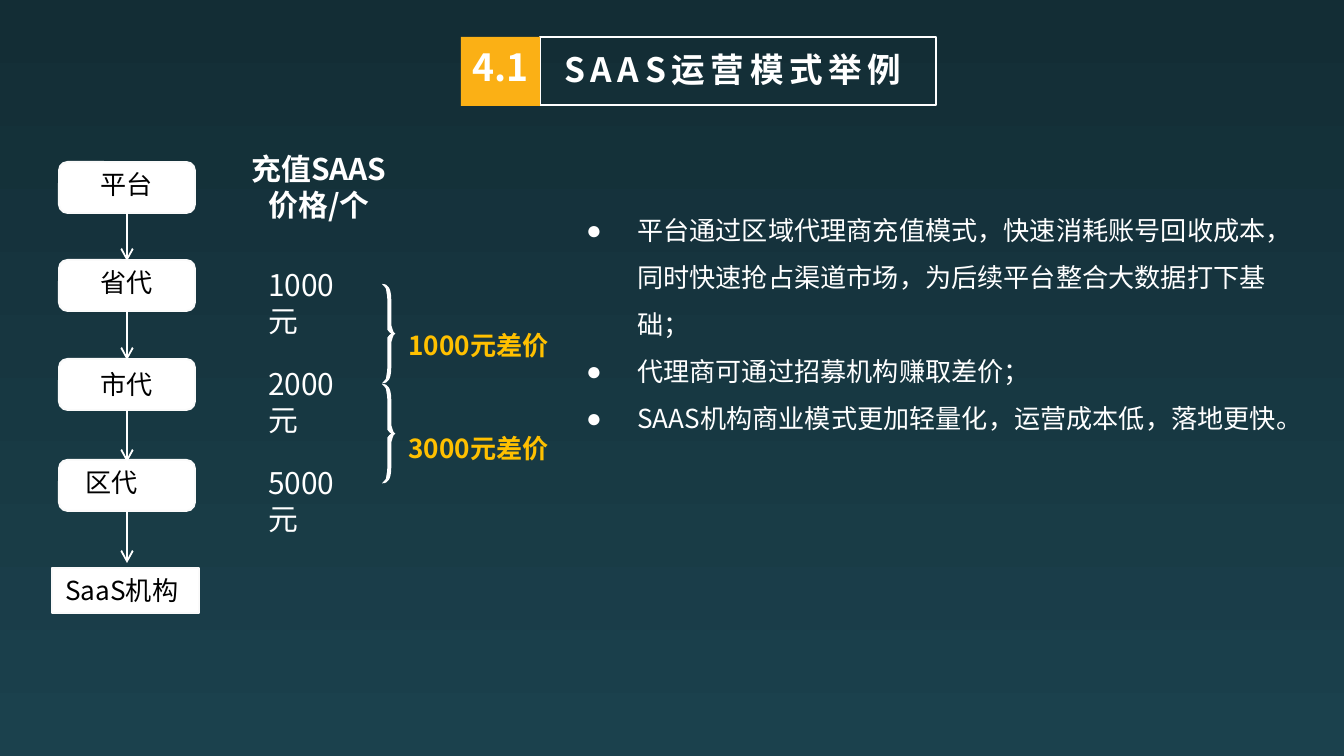
from lxml import etree
from pptx import Presentation
from pptx.dml.color import RGBColor
from pptx.enum.shapes import MSO_CONNECTOR, MSO_SHAPE
from pptx.enum.text import MSO_ANCHOR, PP_ALIGN
from pptx.oxml.ns import qn
from pptx.util import Pt

PX = 914400 / 134.4
FONT = "Noto Sans CJK SC"
WHITE, BLACK, GOLD, ORANGE, EDGE = "FFFFFF", "000000", "FFC000", "FBB015", "FAFAFA"
LEFT, CENTER = PP_ALIGN.LEFT, PP_ALIGN.CENTER
RECTANGLE, ROUNDED = MSO_SHAPE.RECTANGLE, MSO_SHAPE.ROUNDED_RECTANGLE
TOP = MSO_ANCHOR.TOP
STRAIGHT = MSO_CONNECTOR.STRAIGHT


def write(shape, *lines, size=14, color=WHITE, bold=False, align=LEFT,
          line_spacing=1.0, bullet=None, letter_spacing=None):
    """Fill the shape with one paragraph per line; a vertical tab breaks a line."""
    frame = shape.text_frame
    frame.word_wrap = True
    frame.vertical_anchor = TOP
    for index, line in enumerate(lines):
        paragraph = frame.add_paragraph() if index else frame.paragraphs[0]
        paragraph.text = line
        paragraph.alignment = align
        paragraph.line_spacing = line_spacing
        if bullet:
            properties = paragraph._p.get_or_add_pPr()
            properties.set("marL", str(round(51 * PX)))
            properties.set("indent", str(round(-51 * PX)))
            etree.SubElement(properties, qn("a:buFont")).set("typeface", "Arial")
            etree.SubElement(properties, qn("a:buChar")).set("char", bullet)
        for run in paragraph.runs:
            run.font.size = Pt(size)
            run.font.bold = bold
            run.font.color.rgb = RGBColor.from_string(color)
            run.font.name = FONT
            run_properties = run._r.get_or_add_rPr()
            etree.SubElement(run_properties, qn("a:ea")).set("typeface", FONT)
            if letter_spacing:
                run_properties.set("spc", str(letter_spacing * 100))


def paint(shape, fill=None, line=None, width=1):
    shape.shadow.inherit = False
    if fill:
        shape.fill.solid()
        shape.fill.fore_color.rgb = RGBColor.from_string(fill)
    else:
        shape.fill.background()
    if line:
        shape.line.color.rgb = RGBColor.from_string(line)
        shape.line.width = Pt(width)
    else:
        shape.line.fill.background()


presentation = Presentation()
presentation.slide_width = round(1344 * PX)
presentation.slide_height = round(756 * PX)
slide = presentation.slides.add_slide(presentation.slide_layouts[5])
shapes = slide.shapes

background = slide.background.fill
background.gradient()
background.gradient_angle = 270
for stop, color in zip(background.gradient_stops, ("132D35", "1B414D")):
    stop.color.rgb = RGBColor.from_string(color)

# Title with its section number
title = shapes.title
title.left, title.top, title.width, title.height = [round(n * PX) for n in (551, 42, 385, 54)]
write(title, "SAAS运营模式举例", size=18, bold=True, letter_spacing=3)
title_frame = shapes.add_shape(RECTANGLE, *[round(n * PX) for n in (540, 37, 396, 68)])
paint(title_frame, line=WHITE, width=0.75)
number_tile = shapes.add_shape(RECTANGLE, *[round(n * PX) for n in (461, 37, 79, 69)])
paint(number_tile, fill=ORANGE)

# Chain of agents: name, box top, label left, label top
agents = [("平台", 162, 87, 162), ("省代", 260, 87, 260),
          ("市代", 359, 87, 362), ("区代", 460, 72, 460)]
for name, box_top, label_left, label_top in agents:
    box = shapes.add_shape(ROUNDED, *[round(n * PX) for n in (59, box_top, 136, 51)])
    paint(box, fill=WHITE, line=EDGE)
    label = shapes.add_textbox(*[round(n * PX) for n in (label_left, label_top, 109, 45)])
    write(label, name, color=BLACK)

institution = shapes.add_shape(RECTANGLE, *[round(n * PX) for n in (52, 568, 147, 45)])
paint(institution, fill=WHITE, line=EDGE)
write(institution, "SaaS机构", color=BLACK)

for start, end in [(210, 261), (308, 360), (410, 462), (511, 563)]:
    arrow = shapes.add_connector(STRAIGHT, *[round(n * PX) for n in (127, start, 127, end)])
    arrow.line.color.rgb = RGBColor.from_string(WHITE)
    arrow.line.width = Pt(1)
    etree.SubElement(arrow.line._get_or_add_ln(), qn("a:tailEnd")).set("type", "arrow")
    etree.SubElement(arrow._element.spPr, qn("a:effectLst"))

# Upper half of a brace, in thousandths of an inch: a start, then three points per curve
OUTER = [(0, 0), (30, 0), (40, 10), (50, 25), (60, 35), (70, 70), (70, 120),
         (70, 270), (70, 270), (70, 270), (70, 300), (70, 325), (80, 340),
         (80, 355), (90, 360), (100, 370)]
INNER = [(0, 0), (10, 10), (20, 20), (30, 35), (30, 55), (40, 80), (40, 110),
         (40, 250), (40, 250), (40, 250), (40, 290), (40, 320), (40, 340),
         (50, 355), (60, 365), (70, 370)]
outer_edge, inner_edge = [half + [(x, 740 - y) for x, y in half[-2::-1]]
                          for half in (OUTER, INNER)]
outline = outer_edge + inner_edge[-2::-1]

for top in (284, 384):
    builder = shapes.build_freeform(*outline[0], scale=914.4)
    builder.add_line_segments(outline[1:], close=True)
    brace = builder.convert_to_shape(round(382 * PX), round(top * PX))
    paint(brace, fill=WHITE)
    # Join every three line segments into one cubic curve
    segments = list(brace._element.iter(qn("a:lnTo")))
    for first in range(0, len(segments), 3):
        curve = etree.Element(qn("a:cubicBezTo"))
        segments[first].addprevious(curve)
        for segment in segments[first:first + 3]:
            curve.append(segment[0])
            segment.getparent().remove(segment)

# Remaining text: box, wording, format
texts = [
    ((450, 38, 102, 59), ["4.1"], dict(size=20, bold=True, align=CENTER)),
    ((221, 144, 196, 86), ["充值SAAS\v价格/个"], dict(size=16, bold=True, align=CENTER)),
    ((255, 260, 120, 86), ["1000元"], dict(size=16)),
    ((255, 359, 120, 86), ["2000元"], dict(size=16)),
    ((255, 458, 120, 86), ["5000元"], dict(size=16)),
    ((395, 323, 179, 45), ["1000元差价"], dict(color=GOLD, bold=True)),
    ((395, 426, 179, 45), ["3000元差价"], dict(color=GOLD, bold=True)),
    ((573, 192, 726, 251),
     ["平台通过区域代理商充值模式，快速消耗账号回收成本，同时快速抢占渠道市场，为后续平台整合大数据打下基础；",
      "代理商可通过招募机构赚取差价；",
      "SAAS机构商业模式更加轻量化，运营成本低，落地更快。"],
     dict(line_spacing=1.5, bullet="●")),
]
for place, lines, text_format in texts:
    text_box = shapes.add_textbox(*[round(n * PX) for n in place])
    write(text_box, *lines, **text_format)

presentation.save("out.pptx")
